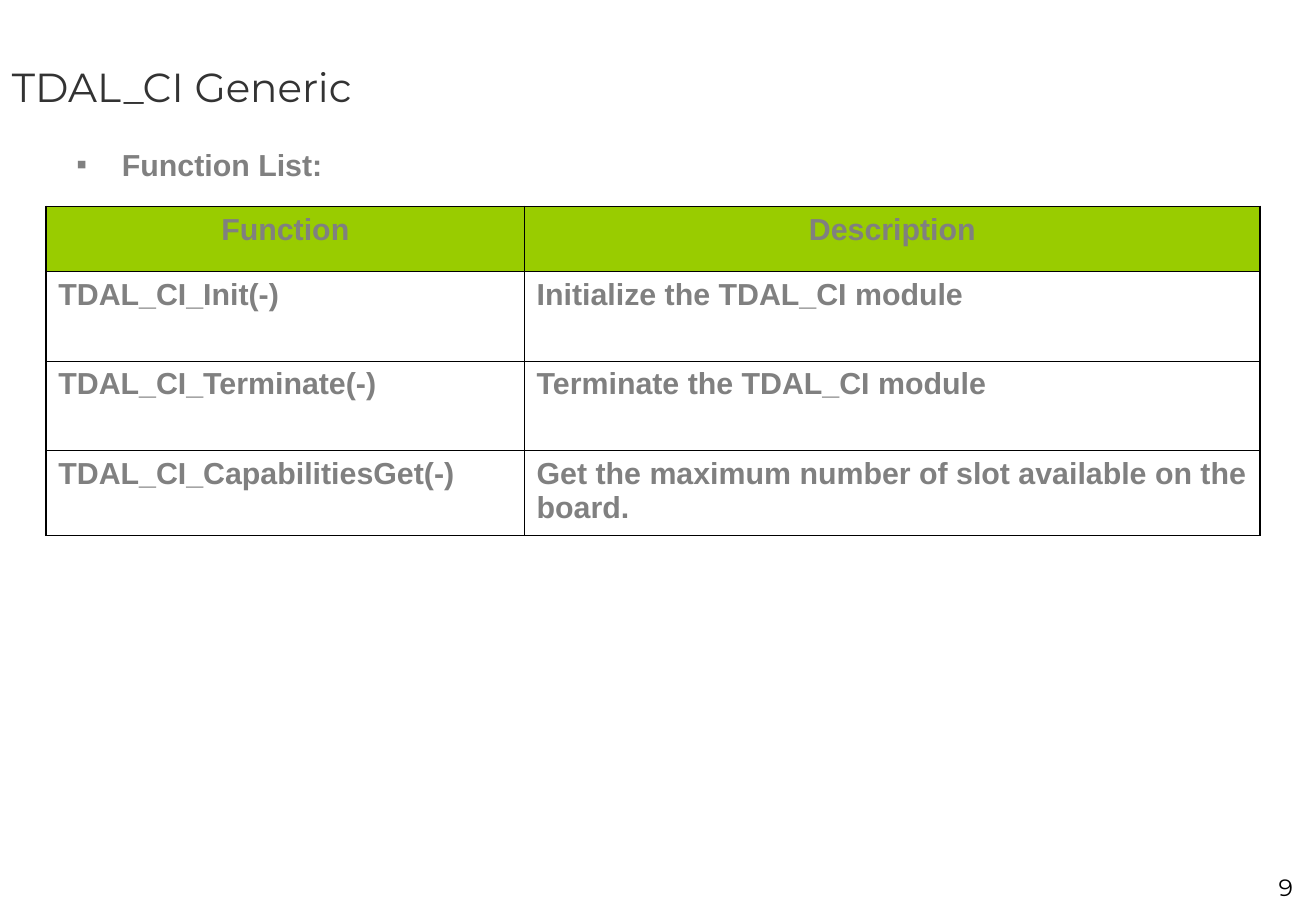
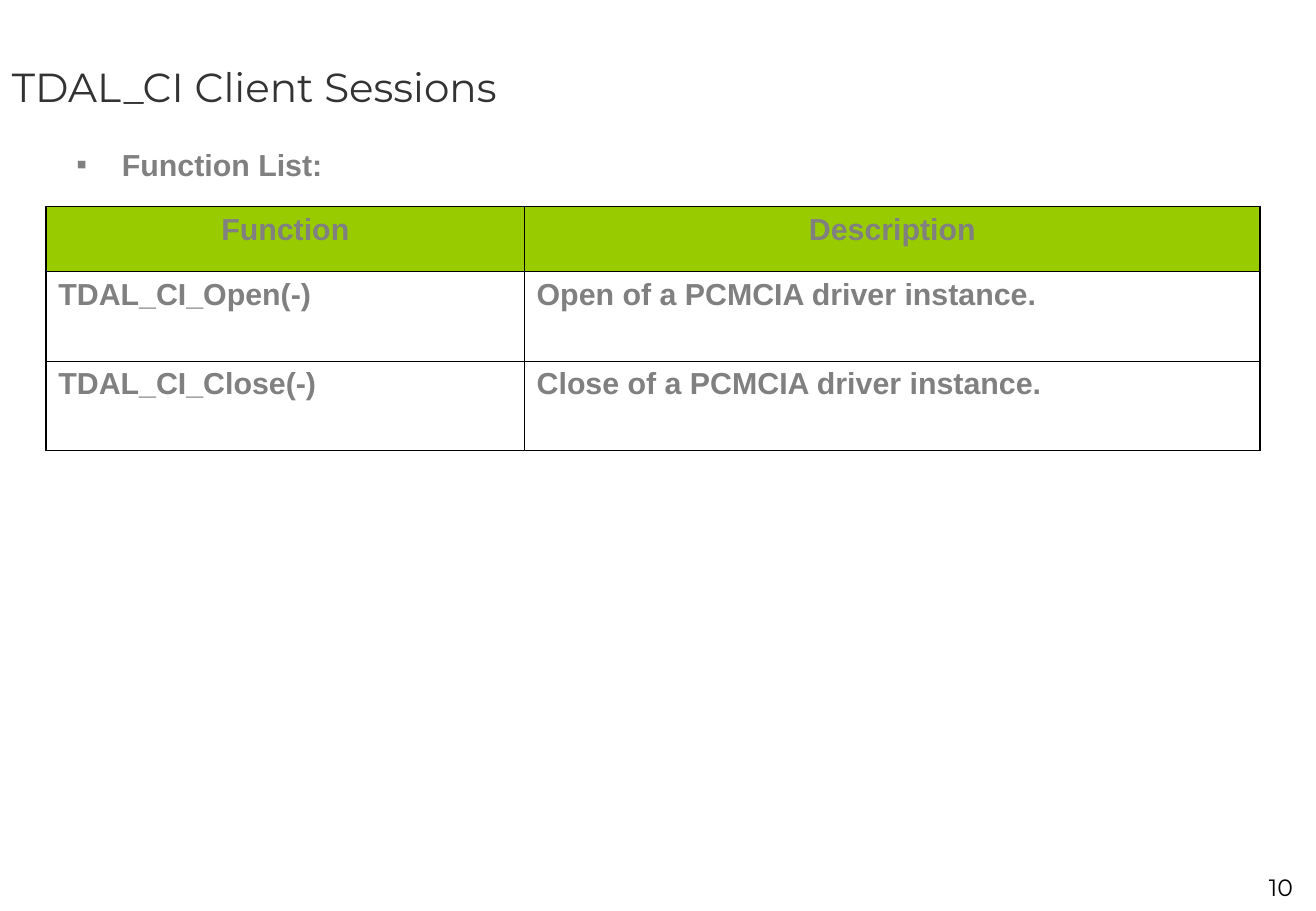
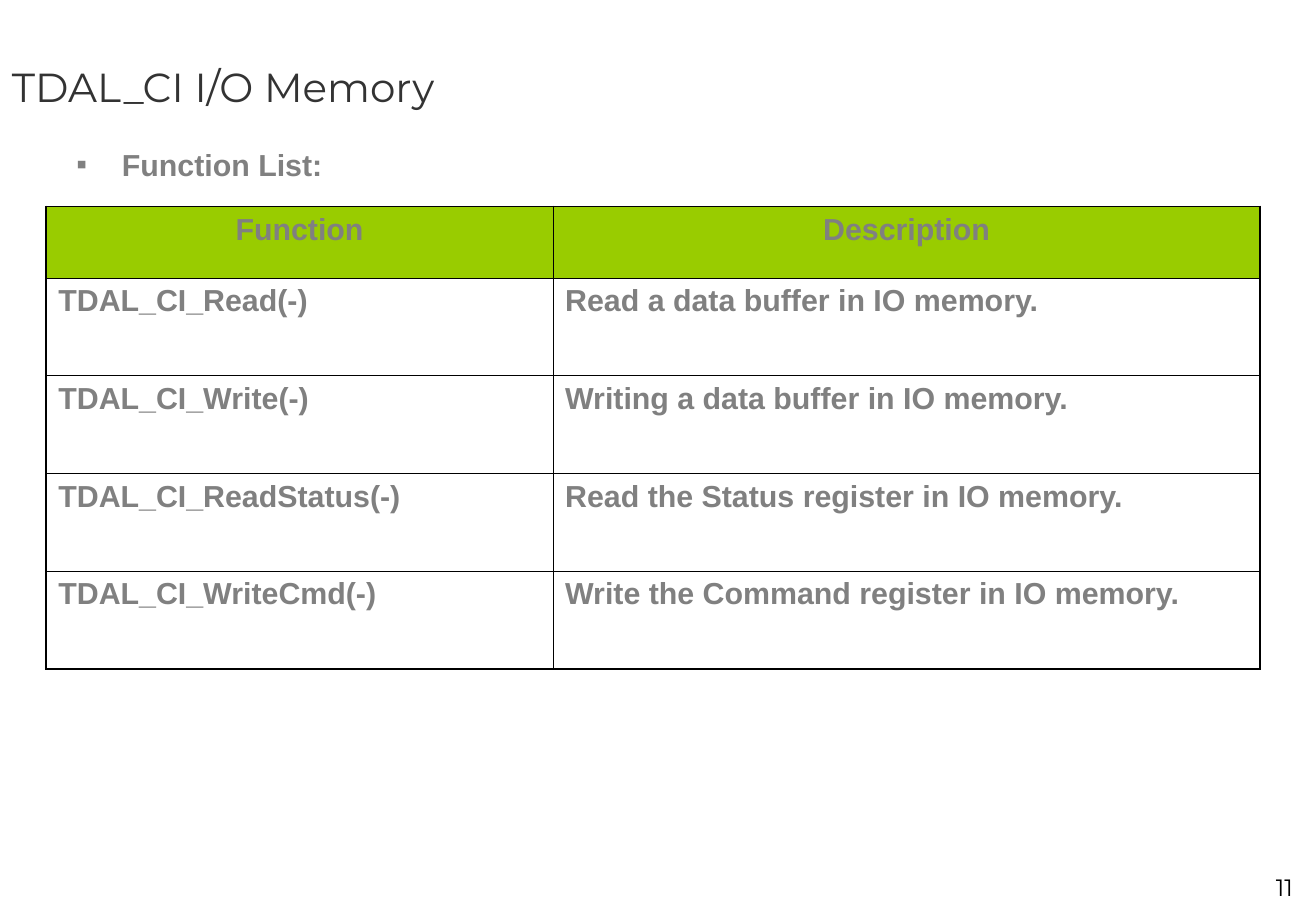
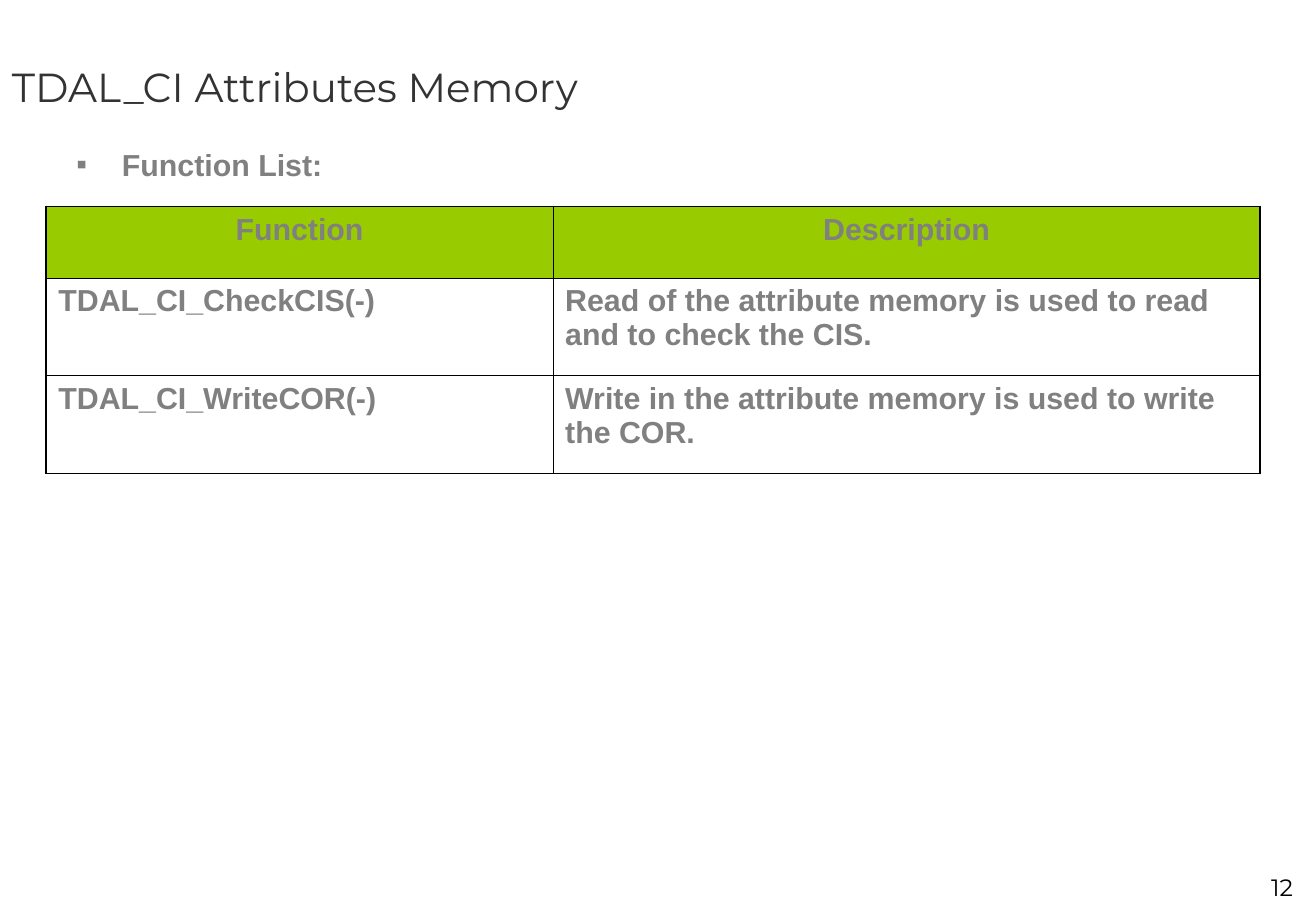
from lxml import etree
from pptx import Presentation
from pptx import util as u
from pptx.dml import color
from pptx.enum import text as t
from pptx.oxml import ns

# Shared colours and formats
DARK = color.RGBColor(0x33, 0x33, 0x33)
GREY = color.RGBColor(0x80, 0x80, 0x80)
BLACK = color.RGBColor(0, 0, 0)
GREEN = color.RGBColor(0x99, 0xCC, 0x00)

TITLE = ({"name": "Montserrat", "size": u.Pt(24), "bold": False}, DARK)
BODY = ({"name": "Arial", "size": u.Pt(18), "bold": True}, GREY)
NUMBER = ({"name": "Montserrat", "size": u.Pt(14), "bold": False}, BLACK)

OUTER, INNER = u.Pt(1.08), u.Pt(0.45)
FIRST_NUMBER = 9
HEADER = ("Function", "Description")

# Content: title, column widths, row heights, rows
SECTIONS = [
    ("TDAL_CI Generic", (283.7, 436.3), (38.7, 53, 53, 50.4), [
        ("TDAL_CI_Init(-)", "Initialize the TDAL_CI module"),
        ("TDAL_CI_Terminate(-)", "Terminate the TDAL_CI module"),
        ("TDAL_CI_CapabilitiesGet(-)",
         "Get the maximum number of slot available on the board."),
    ]),
    ("TDAL_CI Client Sessions", (283.7, 436.3), (38.7, 53, 53), [
        ("TDAL_CI_Open(-)", "Open of a PCMCIA driver instance."),
        ("TDAL_CI_Close(-)", "Close of a PCMCIA driver instance."),
    ]),
    ("TDAL_CI I/O Memory", (300.6, 419.4), (42.3, 58, 58, 58, 58), [
        ("TDAL_CI_Read(-)", "Read a data buffer in IO memory."),
        ("TDAL_CI_Write(-)", "Writing a data buffer in IO memory."),
        ("TDAL_CI_ReadStatus(-)", "Read the Status register in IO memory."),
        ("TDAL_CI_WriteCmd(-)", "Write the Command register in IO memory."),
    ]),
    ("TDAL_CI Attributes Memory", (300.6, 419.4), (42.3, 58, 58), [
        ("TDAL_CI_CheckCIS(-)",
         "Read of the attribute memory is used to read and to check the CIS."),
        ("TDAL_CI_WriteCOR(-)",
         "Write in the attribute memory is used to write the COR."),
    ]),
]


def write(frame, words, style, align=t.PP_ALIGN.LEFT):
    """Fill the first paragraph of a text frame and return it."""
    frame.word_wrap = True
    paragraph = frame.paragraphs[0]
    paragraph.alignment = align
    run = paragraph.add_run()
    run.text = words
    values, rgb = style
    for key, value in values.items():
        setattr(run.font, key, value)
    run.font.color.rgb = rgb
    return paragraph


def add_xml(parent, tag, **attributes):
    return etree.SubElement(parent, ns.qn(tag), attributes)


prs = Presentation()
prs.slide_width, prs.slide_height = u.Pt(780.48), u.Pt(540)

for number, (title, widths, heights, rows) in enumerate(SECTIONS, FIRST_NUMBER):
    slide = prs.slides.add_slide(prs.slide_layouts[6])

    # Title
    heading = slide.shapes.add_textbox(0, 0, u.Pt(780), u.Pt(102)).text_frame
    heading.vertical_anchor = t.MSO_ANCHOR.MIDDLE
    write(heading, title, TITLE)

    # Bulleted lead-in
    lead = slide.shapes.add_textbox(u.Pt(38.2), u.Pt(82.8), u.Pt(713.5), u.Pt(356.4))
    bullet = write(lead.text_frame, "Function List:", BODY)._p.get_or_add_pPr()
    bullet.set("marL", str(u.Pt(27)))
    bullet.set("indent", str(-u.Pt(27)))
    add_xml(add_xml(bullet, "a:buClr"), "a:srgbClr", val=str(GREY))
    add_xml(bullet, "a:buFont", typeface="Arial")
    add_xml(bullet, "a:buChar", char="▪")

    # Function table
    functions = slide.shapes.add_table(
        len(heights), len(widths), u.Pt(27.4), u.Pt(122.4),
        u.Pt(sum(widths)), u.Pt(sum(heights))).table
    functions.first_row = functions.horz_banding = False
    for column, width in zip(functions.columns, widths):
        column.width = u.Pt(width)
    for row, height in zip(functions.rows, heights):
        row.height = u.Pt(height)

    for r, entries in enumerate([HEADER] + rows):
        for c, words in enumerate(entries):
            cell = functions.cell(r, c)
            align = t.PP_ALIGN.LEFT if r else t.PP_ALIGN.CENTER
            write(cell.text_frame, words, BODY, align)

            # Heavier lines around the outside of the table
            edges = {"a:lnL": c == 0, "a:lnR": c == len(widths) - 1,
                     "a:lnT": r == 0, "a:lnB": r == len(rows)}
            for tag, outside in edges.items():
                line = add_xml(cell._tc.get_or_add_tcPr(), tag,
                               w=str(OUTER if outside else INNER))
                add_xml(add_xml(line, "a:solidFill"), "a:srgbClr", val=str(BLACK))

            if r == 0:
                cell.fill.solid()
                cell.fill.fore_color.rgb = GREEN
            else:
                cell.fill.background()

    # Slide number
    footer = slide.shapes.add_textbox(u.Pt(690.5), u.Pt(514), u.Pt(83.5), u.Pt(24))
    write(footer.text_frame, str(number), NUMBER, t.PP_ALIGN.RIGHT)

prs.save("out.pptx")
